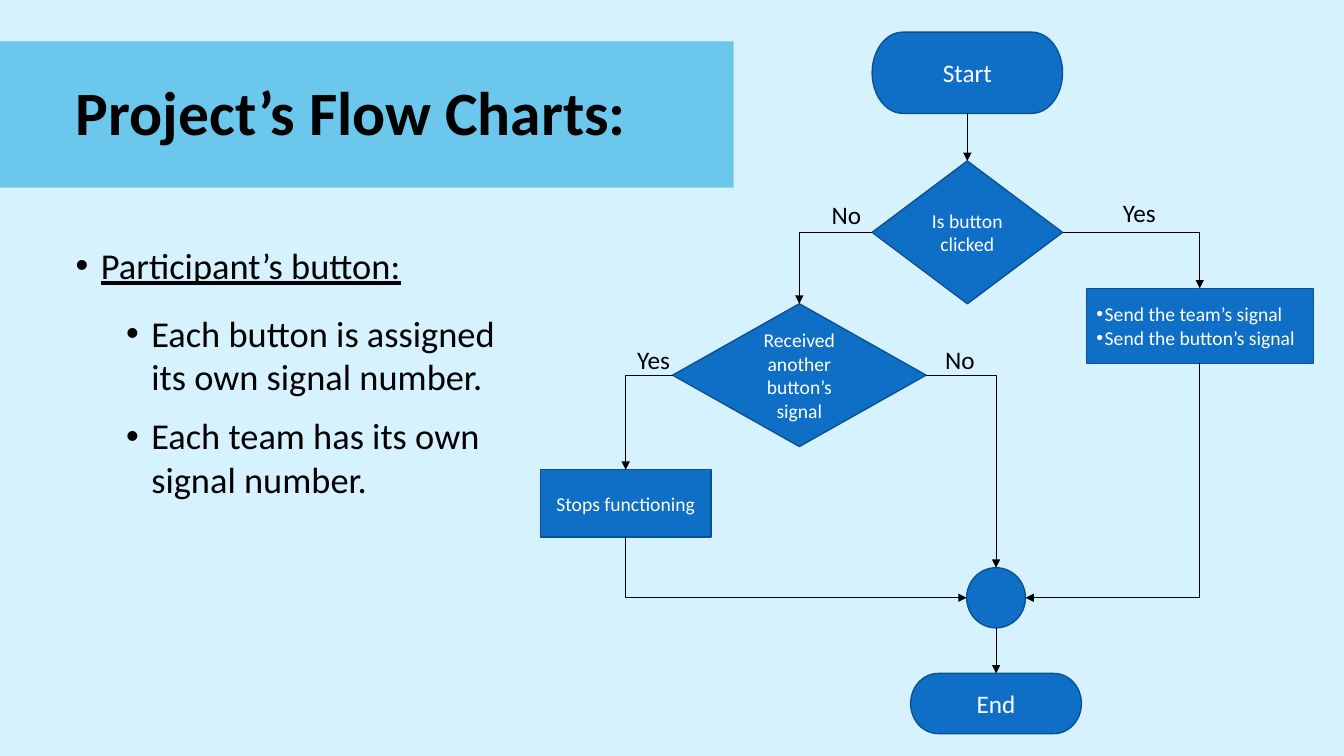
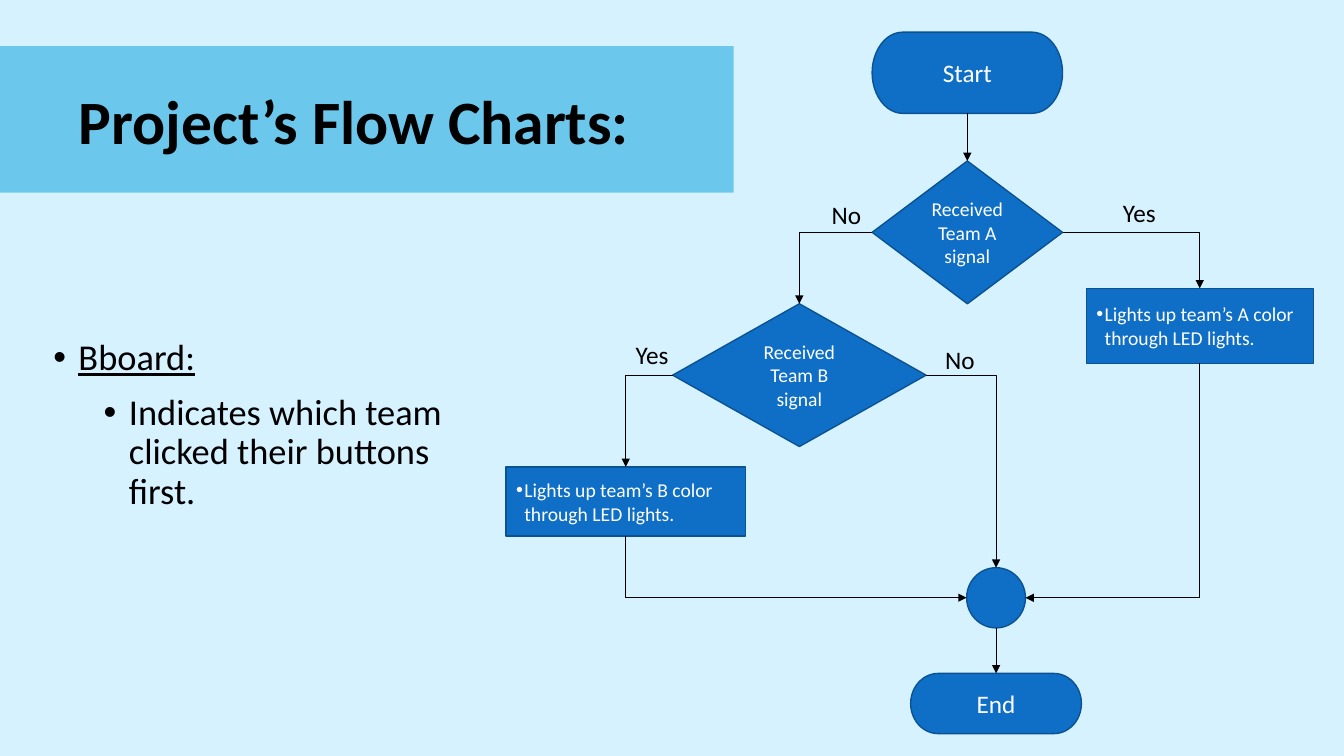
from lxml import etree
from pptx import Presentation
from pptx.dml.color import RGBColor
from pptx.enum import shapes, text
from pptx.oxml.ns import qn
from pptx.util import Pt

COLORS = {
    "background": "D7F2FF",
    "band": "009DD9",
    "node": "0F6FC6",
    "outline": "0B5292",
    "dark": "000000",
    "light": "FFFFFF",
}
COLORS = {name: RGBColor.from_string(value) for name, value in COLORS.items()}
FONT = "Calibri"
TOP, LEFT, BOTTOM, RIGHT = range(4)
PRESETS = shapes.MSO_SHAPE

# Shared steps: preset, center x, top, width, height, text size
STEPS = {
    "start": (PRESETS.FLOWCHART_TERMINATOR, 691, 23, 136, 58, 18),
    "first": (PRESETS.FLOWCHART_DECISION, 691, 115, 136, 102, 14),
    "first yes": (PRESETS.FLOWCHART_PROCESS, 857, 206, 162, 53.5, 14),
    "second": (PRESETS.FLOWCHART_DECISION, 571, 217, 181, 102, 14),
    "end": (PRESETS.FLOWCHART_TERMINATOR, 711.5, 481, 122, 43, 18),
    "junction": (PRESETS.FLOWCHART_CONNECTOR, 711.5, 405.5, 42, 43, 18),
}
# Elbows leave their first step sideways, so those into a side of the
# junction start there and carry the arrowhead at that end.
ARROWS = [
    ("start", BOTTOM, "first", TOP, "tailEnd"),
    ("first", RIGHT, "first yes", TOP, "tailEnd"),
    ("first", LEFT, "second", TOP, "tailEnd"),
    ("second", LEFT, "second yes", TOP, "tailEnd"),
    ("second", RIGHT, "junction", TOP, "tailEnd"),
    ("junction", LEFT, "second yes", BOTTOM, "headEnd"),
    ("junction", RIGHT, "first yes", BOTTOM, "headEnd"),
    ("junction", BOTTOM, "end", TOP, "tailEnd"),
]
LABELS = [("Yes", 795, 137.5), ("No", 668, 242.5), ("No", 587, 139)]

SLIDES = [
    {
        "band top": 29.5,
        "title at": (47, 30, 414, 104.5),
        "body at": (47, 173.5, 329, 343),
        "topic": "Participant’s button:",
        "space after topic": 12,
        "points": ["Each button is assigned its own signal number.",
                   "Each team has its own signal number."],
        "point spacing": 1.0,
        "second yes": (PRESETS.RECTANGLE, 447, 335.5, 122, 48, 14),
        "second label": ("Yes", 448, 242.5),
        "bulleted": ["first yes"],
        "texts": {
            "first": ["Is button clicked"],
            "first yes": ["Send the team’s signal", "Send the button’s signal"],
            "second": ["Received another button’s signal"],
            "second yes": ["Stops functioning"],
        },
    },
    {
        "band top": 33,
        "title at": (49, 36.5, 440, 104.5),
        "body at": (31, 239, 327, 248.5),
        "topic": "Bboard:",
        "space after topic": 6,
        "points": ["Indicates which team clicked their buttons first."],
        "point spacing": 0.9,
        "second yes": (PRESETS.RECTANGLE, 447, 333.5, 171, 49.5, 14),
        "second label": ("Yes", 447, 239),
        "bulleted": ["first yes", "second yes"],
        "texts": {
            "first": ["Received Team A signal"],
            "first yes": ["Lights up team’s A color through LED lights."],
            "second": ["Received Team B", "signal"],
            "second yes": ["Lights up team’s B color through LED lights."],
        },
    },
]


def add_text(shape, content, size=18, color="dark", bold=False, underline=False,
             align=text.PP_ALIGN.LEFT, anchor=text.MSO_ANCHOR.TOP, spacing=1.0,
             before=0, after=0, margin=0, hanging=0):
    """Append one paragraph to the shape; a hanging indent brings a bullet."""
    frame = shape.text_frame
    frame.word_wrap = True
    frame.vertical_anchor = anchor
    paragraph = frame.paragraphs[0]
    if paragraph.runs:
        paragraph = frame.add_paragraph()
    paragraph.alignment = align
    paragraph.line_spacing = spacing
    paragraph.space_before, paragraph.space_after = Pt(before), Pt(after)
    if hanging:
        properties = paragraph._p.get_or_add_pPr()
        properties.set("marL", str(Pt(margin)))
        properties.set("indent", str(-Pt(hanging)))
        etree.SubElement(properties, qn("a:buFont")).set("typeface", "Arial")
        etree.SubElement(properties, qn("a:buChar")).set("char", "•")
    run = paragraph.add_run()
    run.text = content
    run.font.name, run.font.size = FONT, Pt(size)
    run.font.bold, run.font.underline = bold, underline
    run.font.color.rgb = COLORS[color]


def add_arrow(slide, nodes, begin, begin_side, end, end_side, arrowhead):
    points = []
    for name, side in ((begin, begin_side), (end, end_side)):
        node = nodes[name]
        points.append(node.left + node.width * {LEFT: 0, RIGHT: 2}.get(side, 1) // 2)
        points.append(node.top + node.height * {TOP: 0, BOTTOM: 2}.get(side, 1) // 2)
    straight = begin_side == BOTTOM
    kind = shapes.MSO_CONNECTOR.STRAIGHT if straight else shapes.MSO_CONNECTOR.ELBOW
    connector = slide.shapes.add_connector(kind, *points)
    # The round junction numbers its sites differently, except for the top.
    if begin != "junction":
        connector.begin_connect(nodes[begin], begin_side)
    connector.end_connect(nodes[end], end_side)
    connector.line.width = Pt(0.5)
    connector.line.color.rgb = COLORS["dark"]
    properties = connector._element.spPr
    if not straight:
        properties.find(qn("a:prstGeom")).set("prst", "bentConnector2")
    line = properties.find(qn("a:ln"))
    etree.SubElement(line, qn(f"a:{arrowhead}")).set("type", "triangle")
    etree.SubElement(properties, qn("a:effectLst"))


presentation = Presentation()
presentation.slide_width, presentation.slide_height = Pt(960), Pt(540)
background = presentation.slide_master.background.fill
background.solid()
background.fore_color.rgb = COLORS["background"]

for content in SLIDES:
    slide = presentation.slides.add_slide(presentation.slide_layouts[5])

    band = slide.shapes.add_shape(PRESETS.FLOWCHART_PROCESS, 0,
                                  Pt(content["band top"]), Pt(524), Pt(104.5))
    band.shadow.inherit = False
    band.fill.solid()
    band.fill.fore_color.rgb = COLORS["band"]
    band.line.fill.background()
    fill_color = band._element.spPr.find(qn("a:solidFill"))[0]
    etree.SubElement(fill_color, qn("a:alpha")).set("val", "50000")
    slide.shapes._spTree.insert(2, band._element)

    title = slide.shapes.title
    title.left, title.top, title.width, title.height = map(Pt, content["title at"])
    title.text_frame.auto_size = text.MSO_AUTO_SIZE.NONE
    add_text(title, "Project’s Flow Charts:", size=44, bold=True, spacing=0.9,
             anchor=text.MSO_ANCHOR.MIDDLE)

    body = slide.shapes.add_textbox(*map(Pt, content["body at"]))
    add_text(body, content["topic"], size=26, underline=True, spacing=0.9, before=10,
             after=content["space after topic"], margin=18, hanging=18)
    for point in content["points"]:
        add_text(body, point, size=26, spacing=content["point spacing"], before=5,
                 after=6, margin=54, hanging=18)

    nodes = {}
    texts = {"start": ["Start"], "end": ["End"], **content["texts"]}
    steps = {**STEPS, "second yes": content["second yes"]}
    for name, (preset, center, top, width, height, size) in steps.items():
        node = slide.shapes.add_shape(preset, Pt(center - width / 2), Pt(top),
                                      Pt(width), Pt(height))
        node.shadow.inherit = False
        node.fill.solid()
        node.fill.fore_color.rgb = COLORS["node"]
        node.line.color.rgb = COLORS["outline"]
        node.line.width = Pt(1)
        bulleted = name in content["bulleted"]
        for line in texts.get(name, []):
            add_text(node, line, size=size, color="light",
                     anchor=text.MSO_ANCHOR.MIDDLE,
                     align=text.PP_ALIGN.LEFT if bulleted else text.PP_ALIGN.CENTER,
                     margin=6, hanging=6 if bulleted else 0)
        nodes[name] = node

    for arrow in ARROWS:
        add_arrow(slide, nodes, *arrow)

    for answer, left, top in LABELS + [content["second label"]]:
        label = slide.shapes.add_textbox(Pt(left), Pt(top), Pt(54), Pt(29))
        add_text(label, answer)

presentation.save("out.pptx")
